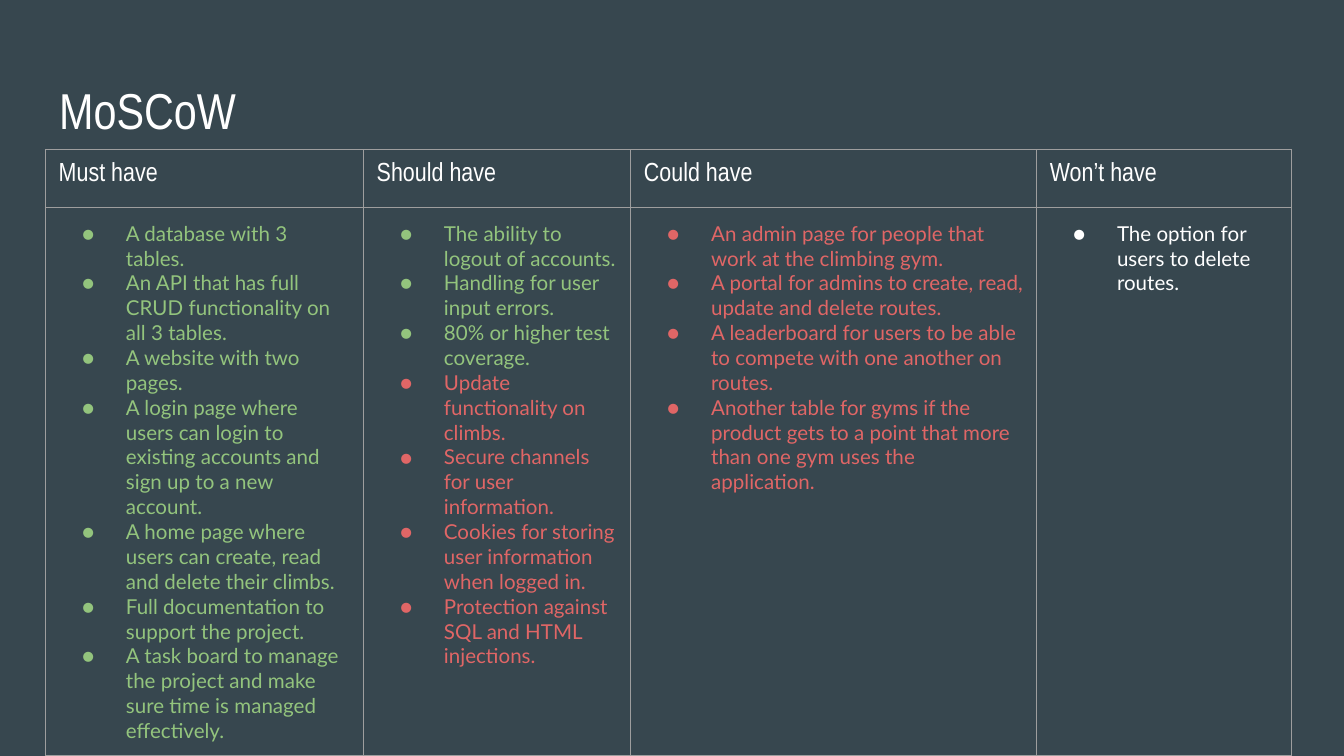
from lxml.etree import SubElement
from pptx import Presentation
from pptx.dml.color import RGBColor
from pptx.enum.text import MSO_ANCHOR
from pptx.oxml import parse_xml
from pptx.oxml.ns import nsdecls, qn
from pptx.util import Cm, Pt

BACKGROUND, BORDER = "37474F", "9E9E9E"
WHITE, GREEN, RED = "FFFFFF", "93C47D", "E06666"
HEADING_FONT, BODY_FONT = "Arial Narrow", "Lato"
INSET = Cm(0.25)

# Each column: heading, width in cm, groups of (colour, items)
COLUMNS = [
    ("Must have", 6.01, [(GREEN, [
        "A database with 3 tables.",
        "An API that has full CRUD functionality on all 3 tables.",
        "A website with two pages.",
        "A login page where users can login to existing accounts and sign up to a new account.",
        "A home page where users can create, read and delete their climbs.",
        "Full documentation to support the project.",
        "A task board to manage the project and make sure time is managed effectively.",
    ])]),
    ("Should have", 5.05, [
        (GREEN, [
            "The ability to logout of accounts.",
            "Handling for user input errors.",
            "80% or higher test coverage.",
        ]),
        (RED, [
            "Update functionality on climbs.",
            "Secure channels for user information.",
            "Cookies for storing user information when logged in.",
            "Protection against SQL and HTML injections.",
        ]),
    ]),
    ("Could have", 7.67, [(RED, [
        "An admin page for people that work at the climbing gym.",
        "A portal for admins to create, read, update and delete routes.",
        "A leaderboard for users to be able to compete with one another on routes.",
        "Another table for gyms if the product gets to a point that more than one gym uses the application.",
    ])]),
    ("Won’t have", 4.82, [(WHITE, ["The option for users to delete routes."])]),
]
ROW_HEIGHTS = [1.06, 10.36]


def colour(value):
    return RGBColor.from_string(value)


def add_span(para, text, size, font, shade):
    span = para.add_run()
    span.text = text
    span.font.size = Pt(size)
    span.font.name = font
    span.font.color.rgb = colour(shade)


def set_insets(target):
    target.margin_left = target.margin_right = INSET
    target.margin_top = target.margin_bottom = INSET
    target.vertical_anchor = MSO_ANCHOR.TOP


def add_bullet(para, shade):
    properties = para._p.get_or_add_pPr()
    properties.set("marL", str(Cm(1.27)))
    properties.set("indent", str(-Cm(0.83)))
    bullet_colour = SubElement(properties, qn("a:buClr"))
    SubElement(bullet_colour, qn("a:srgbClr"), val=shade)
    SubElement(properties, qn("a:buFont"), typeface=BODY_FONT)
    SubElement(properties, qn("a:buChar"), char="●")


def style_cell(cell):
    set_insets(cell)
    cell.fill.background()
    properties = cell._tc.get_or_add_tcPr()
    for index, side in enumerate(("lnL", "lnR", "lnT", "lnB")):
        properties.insert(index, parse_xml(
            f'<a:{side} {nsdecls("a")} w="{Pt(0.75)}"><a:solidFill>'
            f'<a:srgbClr val="{BORDER}"/></a:solidFill></a:{side}>'))


def fill_list(frame, groups):
    items = [(shade, text) for shade, texts in groups for text in texts]
    for index, (shade, text) in enumerate(items):
        para = frame.add_paragraph() if index else frame.paragraphs[0]
        add_bullet(para, shade)
        add_span(para, text, 11, BODY_FONT, shade)


def add_title(page, left, top, width, height):
    box = page.shapes.add_textbox(left, top, width, height)
    frame = box.text_frame
    frame.word_wrap = True
    set_insets(frame)
    add_span(frame.paragraphs[0], "MoSCoW", 27, HEADING_FONT, WHITE)


def add_priorities(page, left, top, width, height):
    table = page.shapes.add_table(
        len(ROW_HEIGHTS), len(COLUMNS), left, top, width, height).table
    table.first_row = table.horz_banding = False
    for row, row_height in zip(table.rows, ROW_HEIGHTS):
        row.height = Cm(row_height)
    for index, (heading, column_width, groups) in enumerate(COLUMNS):
        table.columns[index].width = Cm(column_width)
        head, body = table.cell(0, index), table.cell(1, index)
        style_cell(head)
        style_cell(body)
        add_span(head.text_frame.paragraphs[0], heading, 14, HEADING_FONT, WHITE)
        fill_list(body.text_frame, groups)


def main():
    deck = Presentation()
    deck.slide_width, deck.slide_height = Cm(25.4), Cm(14.29)
    page = deck.slides.add_slide(deck.slide_layouts[6])
    page.background.fill.solid()
    page.background.fill.fore_color.rgb = colour(BACKGROUND)

    # Title above the table of priorities
    add_title(page, Cm(0.87), Cm(1.25), Cm(23.67), Cm(1.59))
    add_priorities(page, Cm(0.86), Cm(2.83),
                   Cm(sum(column[1] for column in COLUMNS)), Cm(sum(ROW_HEIGHTS)))
    deck.save("out.pptx")


if __name__ == "__main__":
    main()
